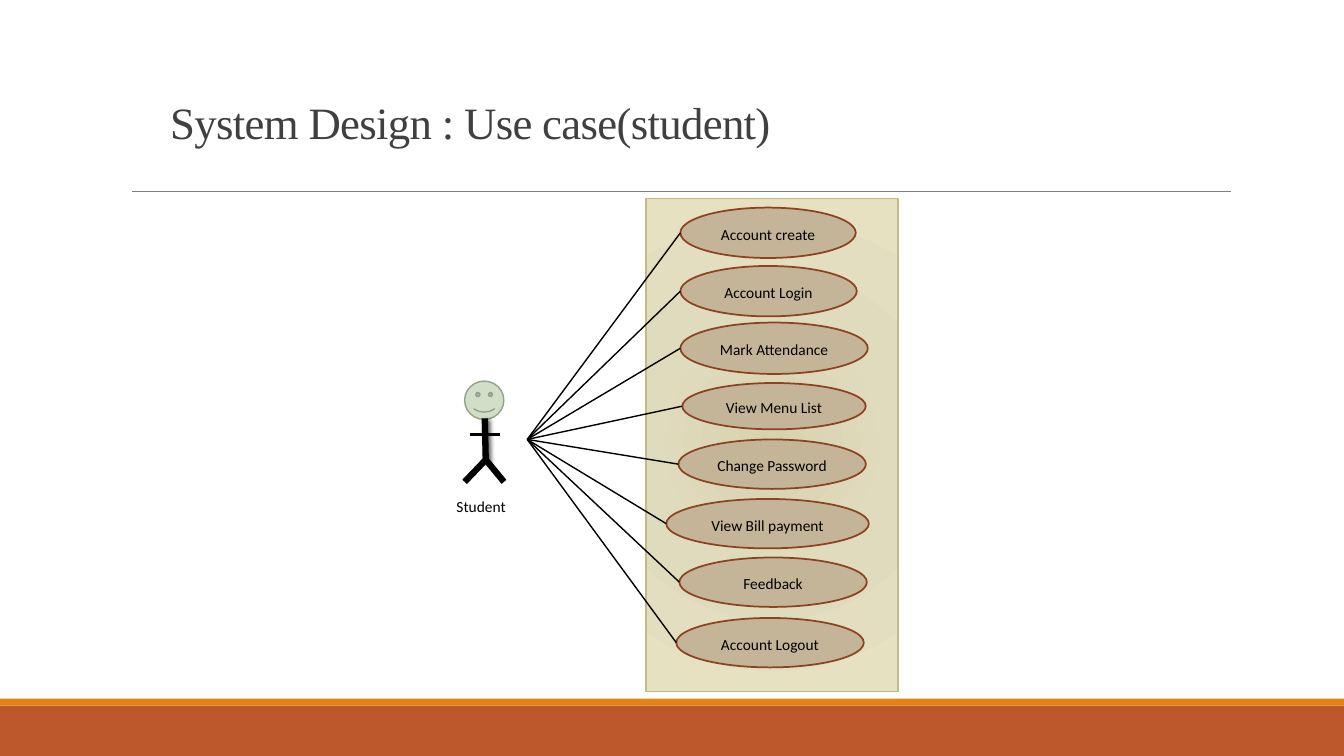
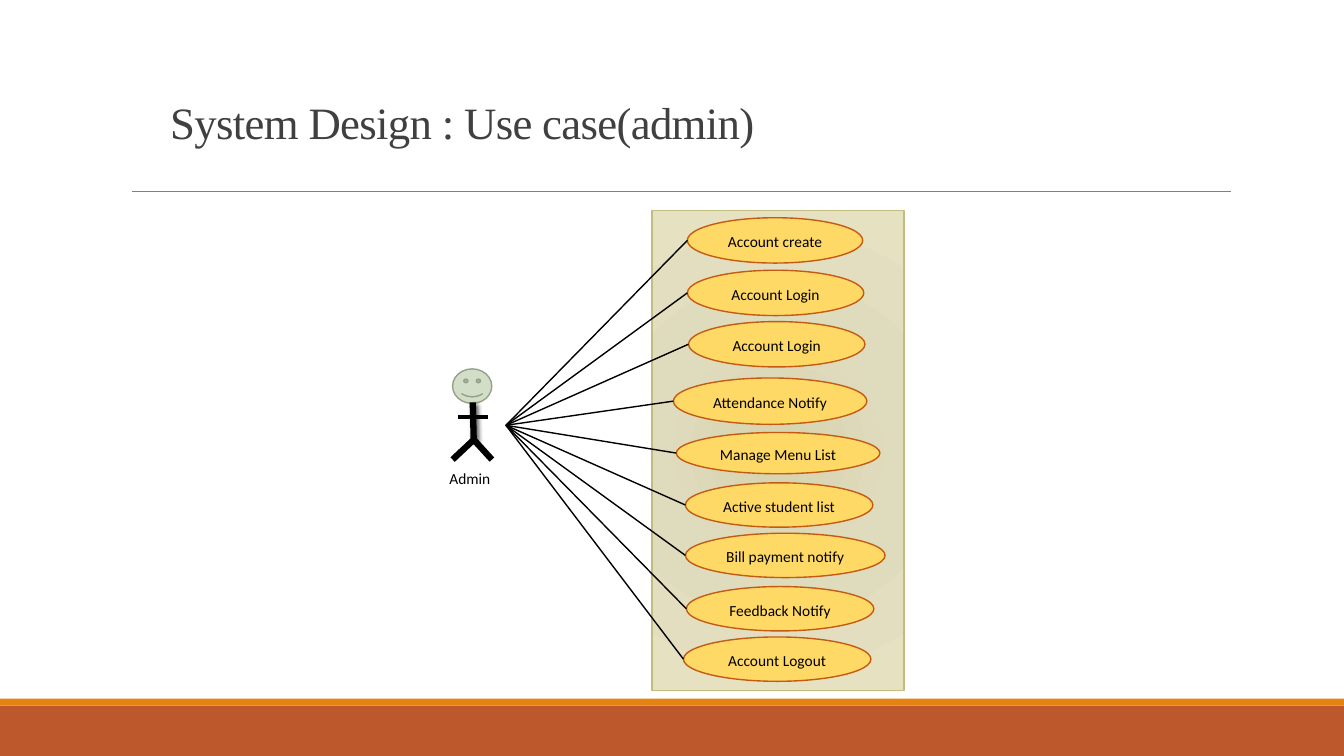
from pptx import Presentation
from pptx.dml.color import RGBColor
from pptx.enum.shapes import MSO_CONNECTOR, MSO_SHAPE
from pptx.enum.text import MSO_ANCHOR, PP_ALIGN
from pptx.oxml import parse_xml
from pptx.oxml.ns import nsdecls
from pptx.util import Pt

BLACK = "000000"
TITLE_FONT, BODY_FONT = "Times New Roman", "Calibri"
BANDS = [("BD582C", 504, 36), ("E48312", 499, 5)]  # colour, top, height
BOUNDARY_STOPS = [(0, "D7D3AF"), (45, "DFDBBD"), (100, "E5E1C1")]

# Stick figure lines relative to the head's top left corner: start, end, width
FIGURE_LINES = [
    ((14.4, 26.6), (15.1, 57.6), 4.5),
    ((3.6, 38.2), (25.2, 38.2), 2.25),
    ((15.1, 56.2), (0, 72), 4.5),
    ((15.1, 56.2), (28.1, 72), 4.5),
]
HEAD_SIZE = 28, 27.4

# Boxes are left, top, width, height in points
DIAGRAMS = [
    {
        "title": "System Design : Use case(student)",
        "actor": "Student", "head_at": (331.9, 272.2), "figure_scale": 1,
        "actor_box": (319, 349.9, 54.7, 21.6),
        "hub": (376.6, 313.9),
        "boundary": (461.5, 141.8, 180, 352.1),
        "fill": "C5B598", "outline": "8E4221", "outline_width": 1.25,
        "cases": [
            ("Account create", (486, 148.3, 125.3, 36)),
            ("Account Login", (486, 190, 126, 36)),
            ("Mark Attendance", (486, 230.4, 133.9, 36.7)),
            ("View Menu List", (487.4, 273.6, 131, 33.1)),
            ("Change Password", (484.6, 313.9, 133.9, 35.3)),
            ("View Bill payment", (475.9, 356.4, 144.7, 35.3)),
            ("Feedback", (485.3, 398.2, 133.9, 35.3)),
            ("Account Logout", (483.1, 441.4, 133.9, 35.3)),
        ],
    },
    {
        "title": "System Design : Use case(admin)",
        "actor": "Admin", "head_at": (323.3, 263.5), "figure_scale": 0.9,
        "actor_box": (313.9, 329.8, 50.4, 19.4),
        "hub": (361.4, 303.8),
        "boundary": (465.8, 150.5, 180, 342.7),
        "fill": "FFD966", "outline": "C55A11", "outline_width": 1,
        "cases": [
            ("Account create", (491, 155.5, 125.3, 32.4)),
            ("Account Login", (491, 193, 126, 32.4)),
            ("Account Login", (491.8, 229.7, 126, 32.4)),
            ("Attendance Notify", (481, 270, 138.2, 33.1)),
            ("Manage Menu List", (483.1, 308.9, 145.4, 29.5)),
            ("Active student list", (489.6, 344.9, 133.9, 31.7)),
            ("Bill payment notify", (489.6, 380.9, 142.6, 31.7)),
            ("Feedback Notify", (490.3, 419, 133.9, 31.7)),
            ("Account Logout", (488.2, 455, 133.9, 31.7)),
        ],
    },
]


def rgb(color):
    return RGBColor.from_string(color)


def add_box(slide, preset, box, fill=None, outline=None, outline_width=1):
    shape = slide.shapes.add_shape(preset, *map(Pt, box))
    shape.shadow.inherit = False
    if fill:
        shape.fill.solid()
        shape.fill.fore_color.rgb = rgb(fill)
    if outline:
        shape.line.color.rgb = rgb(outline)
        shape.line.width = Pt(outline_width)
    else:
        shape.line.fill.background()
    return shape


def add_line(slide, start, end, width, color=BLACK, shadow=False):
    line = slide.shapes.add_connector(MSO_CONNECTOR.STRAIGHT, *map(Pt, start + end))
    line.line.color.rgb = rgb(color)
    line.line.width = Pt(width)
    effect = (
        '<a:outerShdw blurRad="38100" dist="25400" dir="2700000">'
        '<a:srgbClr val="000000"><a:alpha val="60000"/></a:srgbClr></a:outerShdw>'
    ) if shadow else ""
    line._element.spPr.append(
        parse_xml(f'<a:effectLst {nsdecls("a")}>{effect}</a:effectLst>'))
    return line


def write(shape, text, size=11, font=BODY_FONT, color=BLACK, spacing=1.15):
    """Fill the shape with one formatted paragraph and return it."""
    shape.text_frame.text = text
    shape.text_frame.word_wrap = True
    paragraph = shape.text_frame.paragraphs[0]
    paragraph.line_spacing = spacing
    run_font = paragraph.runs[0].font
    run_font.size, run_font.name = Pt(size), font
    run_font.color.rgb = rgb(color)
    return paragraph


def add_frame(slide, title):
    """Draw what every slide shares: bands, rule and title."""
    for color, top, height in BANDS:
        add_box(slide, MSO_SHAPE.RECTANGLE, (0, top, 960, height), color)
    add_line(slide, (94.3, 136.8), (879.1, 136.8), 0.5, "808080")
    heading = slide.shapes.add_textbox(*map(Pt, (114.5, 26.6, 756, 82.8)))
    heading.text_frame.vertical_anchor = MSO_ANCHOR.BOTTOM
    paragraph = write(heading, title, 32, TITLE_FONT, "404040", 0.85)
    paragraph.runs[0]._r.get_or_add_rPr().set("spc", "-50")


def add_boundary(slide, box):
    boundary = add_box(slide, MSO_SHAPE.RECTANGLE, box, outline="C2BC80")
    boundary.fill.background()
    stops = "".join(
        f'<a:gs pos="{position * 1000}"><a:srgbClr val="{color}"/></a:gs>'
        for position, color in BOUNDARY_STOPS)
    gradient = parse_xml(
        f'<a:gradFill {nsdecls("a")} rotWithShape="1"><a:gsLst>{stops}</a:gsLst>'
        '<a:path path="circle"><a:fillToRect l="100000" t="100000" r="100000" b="100000"/>'
        '</a:path></a:gradFill>')
    properties = boundary._element.spPr
    properties.replace(properties.find("{*}noFill"), gradient)


def add_actor(slide, diagram):
    left, top = diagram["head_at"]
    scale = diagram["figure_scale"]
    width, height = HEAD_SIZE
    add_box(slide, MSO_SHAPE.SMILEY_FACE, (left, top, width, height * scale),
            "D2DEC7", "94A088")
    for index, (start, end, thickness) in enumerate(FIGURE_LINES):
        start, end = [(left + x, top + y * scale) for x, y in (start, end)]
        add_line(slide, start, end, thickness, shadow=index == 0)
    label = slide.shapes.add_textbox(*map(Pt, diagram["actor_box"]))
    write(label, diagram["actor"]).space_after = Pt(10)


def add_use_case(slide, diagram, name, box):
    """Draw one ellipse and the line that joins it to the actor."""
    case = add_box(slide, MSO_SHAPE.OVAL, box, diagram["fill"],
                   diagram["outline"], diagram["outline_width"])
    case.text_frame.vertical_anchor = MSO_ANCHOR.MIDDLE
    write(case, name).alignment = PP_ALIGN.CENTER
    left, top, _, height = box
    middle = top + height / 2
    link = add_line(slide, diagram["hub"], (left, middle), 1)
    link.end_connect(case, 2)  # site 2 is an ellipse's left point
    link.end_x, link.end_y = Pt(left), Pt(middle)


def main():
    deck = Presentation()
    deck.slide_width, deck.slide_height = Pt(960), Pt(540)
    for diagram in DIAGRAMS:
        slide = deck.slides.add_slide(deck.slide_layouts[6])
        add_frame(slide, diagram["title"])
        add_boundary(slide, diagram["boundary"])
        add_actor(slide, diagram)
        for name, box in diagram["cases"]:
            add_use_case(slide, diagram, name, box)
    deck.save("out.pptx")


if __name__ == "__main__":
    main()
